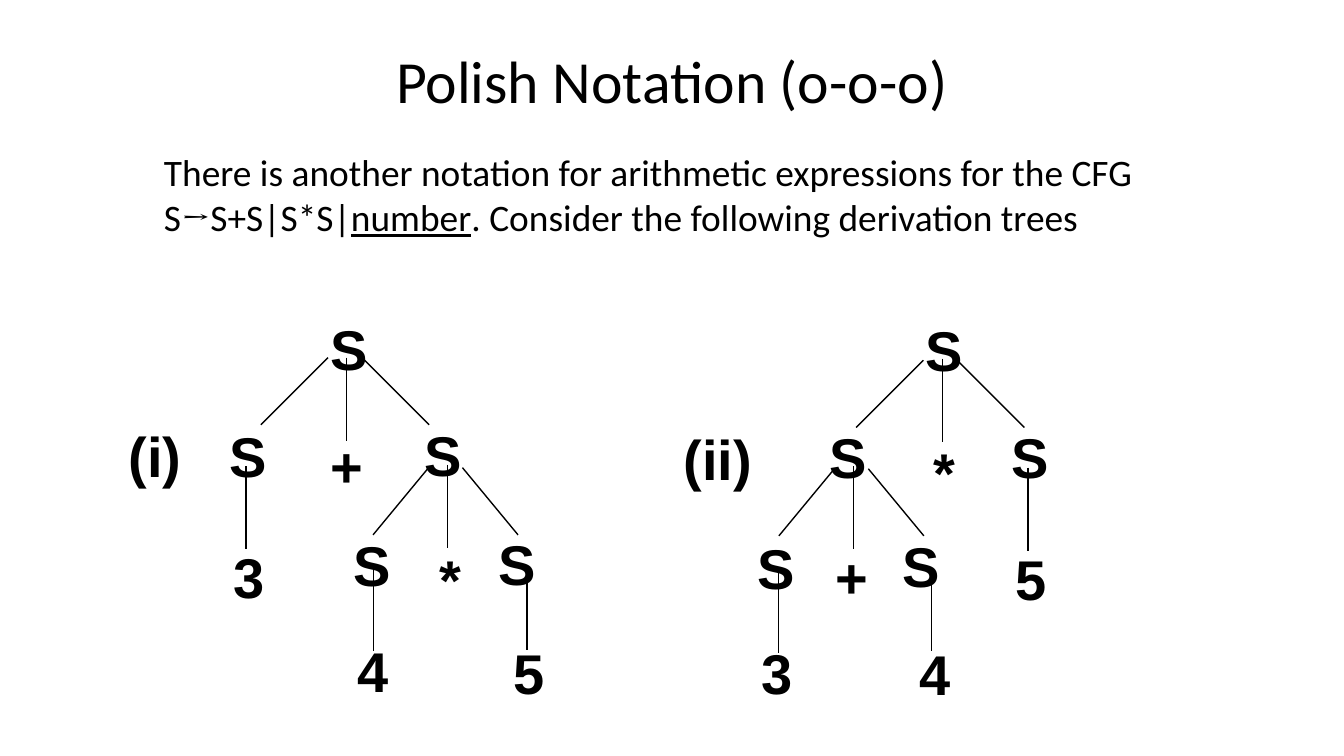
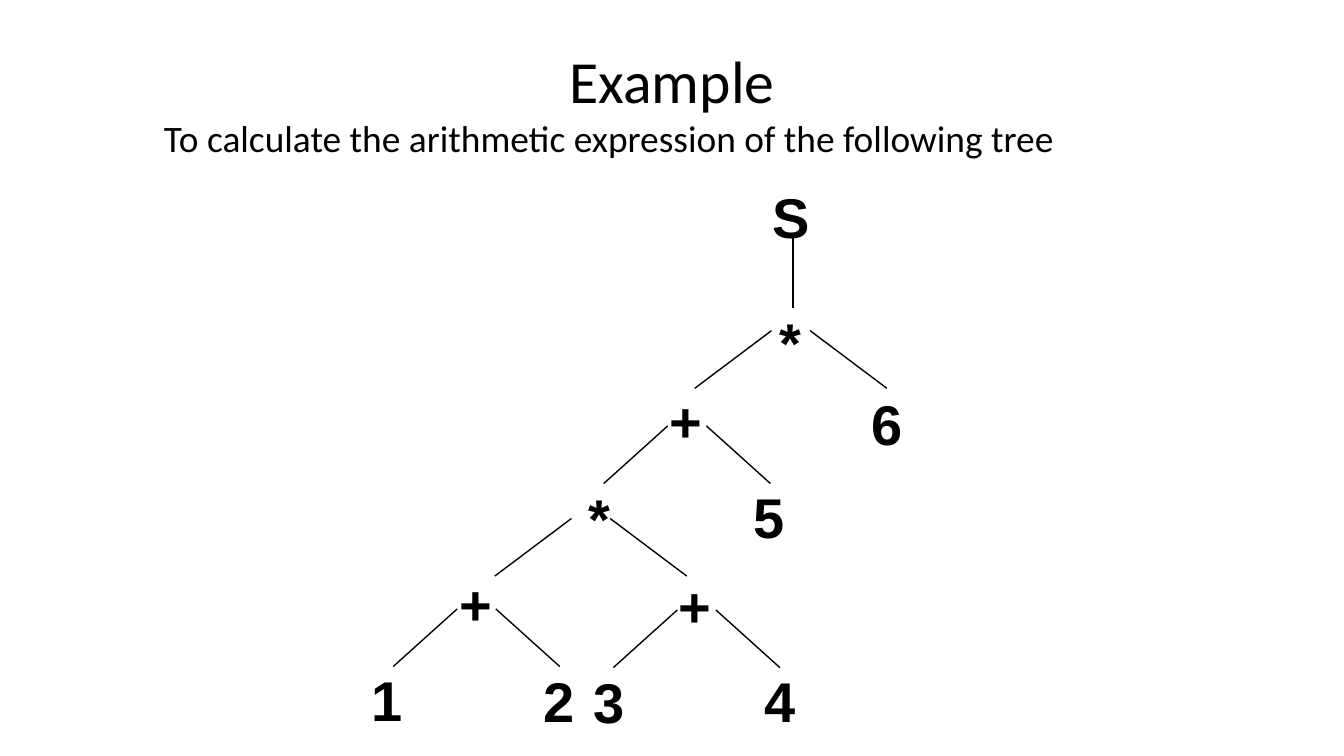
from lxml import etree
from pptx import Presentation
from pptx.dml.color import RGBColor
from pptx.enum import shapes, text
from pptx.oxml.ns import qn
from pptx.util import Cm, Pt

COLORS = {"ink": "000000", "paper": "FFFFFF"}
BODY_FONT, SYMBOL_FONT, NODE_FONT = "Calibri", "Cambria", "Arial"
CONTENT_LEFT, CONTENT_WIDTH = 1.9, 21.6
NODE_HEIGHT = 1.52


def color(name):
    return RGBColor.from_string(COLORS[name])


def format_run(r, font, size, bold=False, underline=False):
    r.font.name, r.font.size = font, Pt(size)
    r.font.bold, r.font.underline = bold, underline
    r.font.color.rgb = color("ink")


def add_slide(prs, title):
    slide = prs.slides.add_slide(prs.slide_layouts[5])
    slide.background.fill.solid()
    slide.background.fill.fore_color.rgb = color("paper")
    sp = slide.shapes.title
    sp.left, sp.top = Cm(CONTENT_LEFT), Cm(0.3)
    sp.width, sp.height = Cm(CONTENT_WIDTH), Cm(2.4)
    tf = sp.text_frame
    tf.text = title
    tf.vertical_anchor = text.MSO_ANCHOR.MIDDLE
    p = tf.paragraphs[0]
    p.alignment = text.PP_ALIGN.CENTER
    format_run(p.runs[0], BODY_FONT, 32)
    return slide


def add_body(slide, top, parts):
    """Add the indented statement; parts are (text, font, underline)."""
    sp = slide.shapes.add_textbox(Cm(CONTENT_LEFT), Cm(top), Cm(CONTENT_WIDTH), Cm(8.56))
    tf = sp.text_frame
    tf.word_wrap = True
    p = tf.paragraphs[0]
    p._p.get_or_add_pPr().set("marL", str(Cm(0.95)))
    for words, font, underline in parts:
        r = p.add_run()
        r.text = words
        format_run(r, font, 20, underline=underline)


def add_node(tree, label, left, top, width):
    sp = tree.shapes.add_textbox(Cm(left), Cm(top), Cm(width), Cm(NODE_HEIGHT))
    tf = sp.text_frame
    tf.text = label
    tf.word_wrap = True
    format_run(tf.paragraphs[0].runs[0], NODE_FONT, 30, bold=True)


def add_line(tree, x, y, dx, dy):
    line = tree.shapes.add_connector(
        shapes.MSO_CONNECTOR.STRAIGHT, Cm(x), Cm(y), Cm(x + dx), Cm(y + dy))
    line.line.color.rgb = color("ink")
    line.line.width = Pt(0.75)
    etree.SubElement(line._element.spPr, qn("a:effectLst"))


def add_tree(slide, nodes, forks, stems, gap, drop, stem, width, leaf_width):
    """Draw a tree: forks are (x, y, spread) from the left arm, stems (x, y)."""
    tree = slide.shapes.add_group_shape()
    for x, y, spread in forks:
        add_line(tree, x, y, -spread, drop)
        add_line(tree, x + gap, y, spread, drop)
    for x, y in stems:
        add_line(tree, x, y, 0, stem)
    for label, left, top in nodes:
        add_node(tree, label, left, top, width if label in "S+*" else leaf_width)


def add_notation_slide(prs):
    slide = add_slide(prs, "Polish Notation (o-o-o)")
    add_body(slide, 2.7, [
        ("There is another notation for arithmetic expressions for the CFG S", BODY_FONT, False),
        ("→", SYMBOL_FONT, False),
        ("S+S|S*S|", BODY_FONT, False),
        ("number", BODY_FONT, True),
        (". Consider the following derivation trees", BODY_FONT, False)])
    style = dict(gap=0.64, drop=1.27, stem=1.57, width=2.34, leaf_width=3.38)
    add_tree(
        slide,
        nodes=[("(i)", 2.18, 7.85), ("S", 5.99, 5.82),
               ("S", 4.09, 7.85), ("+", 5.99, 8.03), ("S", 7.77, 7.82),
               ("3", 4.17, 10.13),
               ("S", 6.43, 9.91), ("*", 8.05, 10.16), ("S", 9.17, 9.88),
               ("4", 6.5, 11.91), ("5", 9.45, 11.94)],
        forks=[(6.2, 6.76, 1.27), (8.1, 8.84, 1.05)],
        stems=[(6.55, 6.76), (4.65, 8.81), (8.46, 8.79), (7.06, 10.74), (9.96, 10.72)],
        **style)
    add_tree(
        slide,
        nodes=[("(ii)", 12.67, 7.9), ("S", 17.25, 5.84),
               ("S", 15.42, 7.87), ("*", 17.4, 8.15), ("S", 18.87, 7.87),
               ("S", 14.07, 9.96), ("+", 15.54, 10.13), ("S", 16.81, 9.93),
               ("5", 18.95, 10.16),
               ("3", 14.15, 11.94), ("4", 17.12, 11.96)],
        forks=[(17.45, 6.81, 1.27), (15.77, 8.86, 1.05)],
        stems=[(17.81, 6.78), (16.13, 8.81), (19.43, 8.84), (14.71, 10.77), (17.6, 10.74)],
        **style)


def add_example_slide(prs):
    slide = add_slide(prs, "Example")
    add_body(slide, 2.06, [
        ("To calculate the arithmetic expression of the following tree", BODY_FONT, False)])
    add_tree(
        slide,
        nodes=[("S", 14.35, 3.33), ("*", 14.48, 5.69),
               ("+", 12.4, 7.19), ("6", 16.23, 7.24),
               ("*", 10.87, 9.02), ("5", 14, 8.99),
               ("+", 8.43, 10.64), ("+", 12.57, 10.67),
               ("1", 6.78, 12.45), ("2", 10.03, 12.47),
               ("3", 10.97, 12.5), ("4", 14.2, 12.47)],
        forks=[(14.58, 6.25, 1.45), (12.62, 8.05, 1.21), (10.8, 9.8, 1.45),
               (8.64, 11.51, 1.21), (12.8, 11.53, 1.21)],
        stems=[(14.99, 4.45)],
        gap=0.73, drop=1.09, stem=1.37, width=2.67, leaf_width=2.67)


def main():
    prs = Presentation()
    prs.slide_width, prs.slide_height = Cm(25.4), Cm(14.29)
    add_notation_slide(prs)
    add_example_slide(prs)
    prs.save("out.pptx")


if __name__ == "__main__":
    main()
